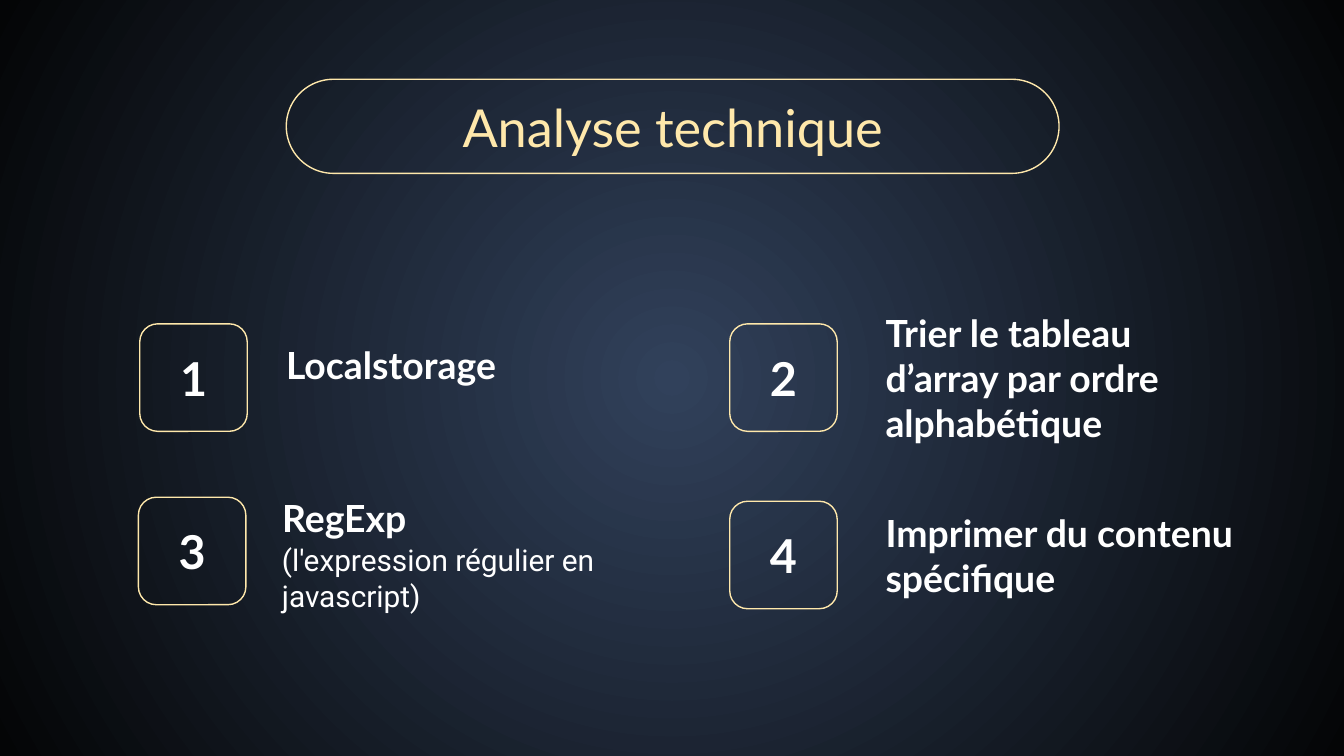
"""Build the "Analyse technique" slide: a title pill and four numbered topics."""
from lxml import etree
from pptx import Presentation
from pptx.dml.color import RGBColor
from pptx.enum.shapes import MSO_SHAPE
from pptx.enum.text import MSO_ANCHOR, PP_ALIGN
from pptx.oxml.ns import qn
from pptx.util import Inches, Pt

ROUNDED = MSO_SHAPE.ROUNDED_RECTANGLE
MIDDLE = MSO_ANCHOR.MIDDLE
CENTER, LEFT = PP_ALIGN.CENTER, PP_ALIGN.LEFT

COLORS = {"gold": "FFE8AB", "white": "FFFFFF", "glow": "31415B", "edge": "040506"}
SLIDE_WIDTH, SLIDE_HEIGHT = 10, 10 * 9 / 16
BADGE_SIZE = 0.8
NUMBER_INSET = 0.1
LABEL_HEIGHT = 0.4

TITLE = "Analyse technique"
TOPICS = [
    {"label": "Localstorage", "badge": (1.04, 2.41), "at": (2.03, 2.51), "width": 2.52},
    {"label": "Trier le tableau d’array par ordre alphabétique",
     "badge": (5.43, 2.41), "at": (6.49, 2.61), "width": 2.52},
    {"label": "RegExp", "badge": (1.03, 3.7), "at": (2, 3.65), "width": 2.52},
    {"label": "Imprimer du contenu spécifique",
     "badge": (5.43, 3.73), "at": (6.49, 3.93), "width": 2.88},
]
DETAIL = "(l'expression régulier en javascript)"


def rgb(name):
    return RGBColor.from_string(COLORS[name])


def add_outline(page, left, top, width, height, corner):
    outline = page.shapes.add_shape(
        ROUNDED, Inches(left), Inches(top), Inches(width), Inches(height))
    outline.adjustments[0] = corner
    outline.shadow.inherit = False
    outline.fill.background()
    outline.line.color.rgb = rgb("gold")
    outline.line.width = Pt(0.75)


def add_text(page, left, top, width, height, text, size,
             color="white", font="Lato", bold=False, align=LEFT):
    box = page.shapes.add_textbox(
        Inches(left), Inches(top), Inches(width), Inches(height))
    frame = box.text_frame
    frame.word_wrap = True
    frame.vertical_anchor = MIDDLE
    frame.margin_left = frame.margin_right = Inches(0.1)
    frame.margin_top = frame.margin_bottom = Inches(0.1)
    para = frame.paragraphs[0]
    para.alignment = align
    span = para.add_run()
    span.text = text
    span.font.size = Pt(size)
    span.font.name = font
    span.font.bold = bold
    span.font.color.rgb = rgb(color)


def paint_background(page):
    fill = page.background.fill
    fill.gradient()
    for stop, name in zip(fill.gradient_stops, ("glow", "edge")):
        stop.color.rgb = rgb(name)
    gradient = page.element.find(".//" + qn("a:gradFill"))
    gradient.remove(gradient.find(qn("a:lin")))
    radial = etree.SubElement(gradient, qn("a:path"), {"path": "circle"})
    center = {side: "50000" for side in "ltrb"}
    etree.SubElement(radial, qn("a:fillToRect"), center)


def main():
    deck = Presentation()
    deck.slide_width, deck.slide_height = Inches(SLIDE_WIDTH), Inches(SLIDE_HEIGHT)
    page = deck.slides.add_slide(deck.slide_layouts[6])
    paint_background(page)

    add_outline(page, 2.13, 0.59, 5.75, 0.7, 0.5)
    add_text(page, 0.79, 0.59, 8.43, 0.7, TITLE, 28, color="gold", align=CENTER)

    for number, topic in enumerate(TOPICS, start=1):
        left, top = topic["badge"]
        add_outline(page, left, top, BADGE_SIZE, BADGE_SIZE, 0.167)
        add_text(page, left, top + NUMBER_INSET, BADGE_SIZE,
                 BADGE_SIZE - 2 * NUMBER_INSET, str(number), 25,
                 bold=True, align=CENTER)
        add_text(page, *topic["at"], topic["width"], LABEL_HEIGHT,
                 topic["label"], 20, bold=True)
    add_text(page, 2, 4.03, 2.56, 0.53, DETAIL, 16, font="Roboto")

    deck.save("out.pptx")


if __name__ == "__main__":
    main()
